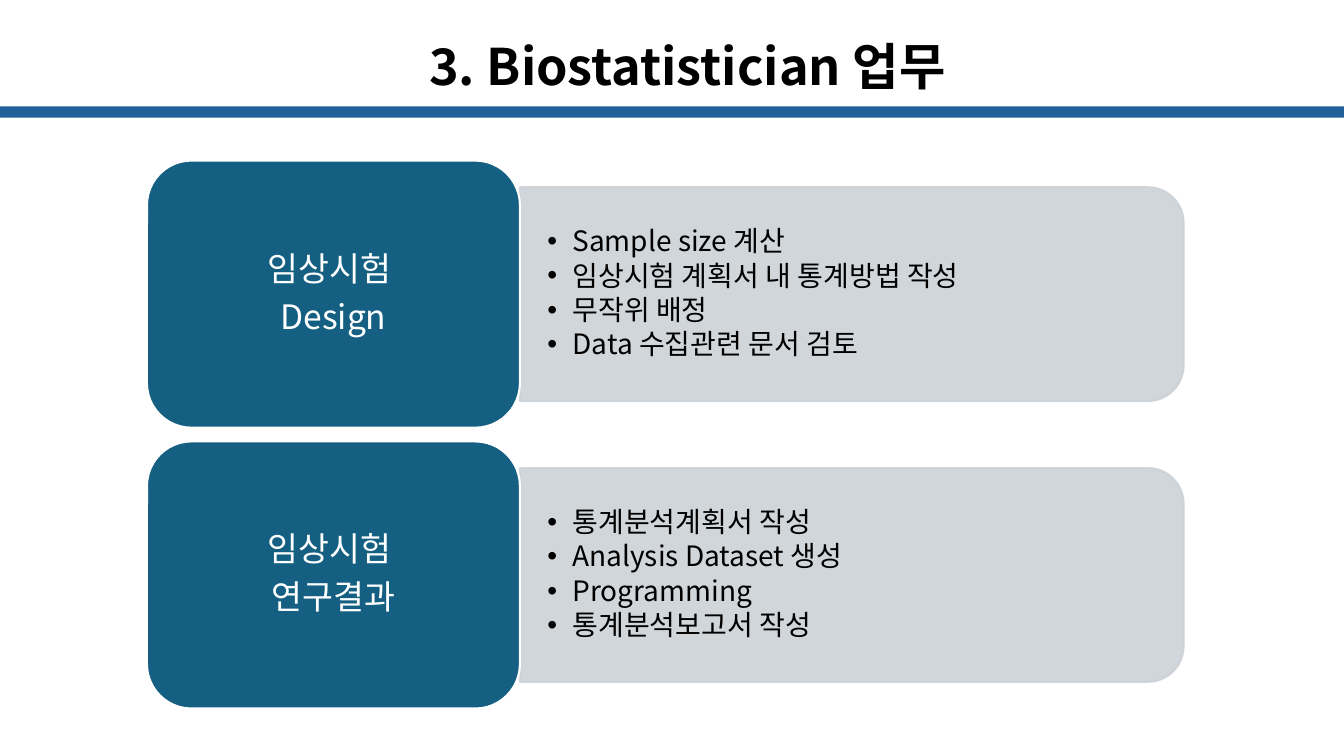
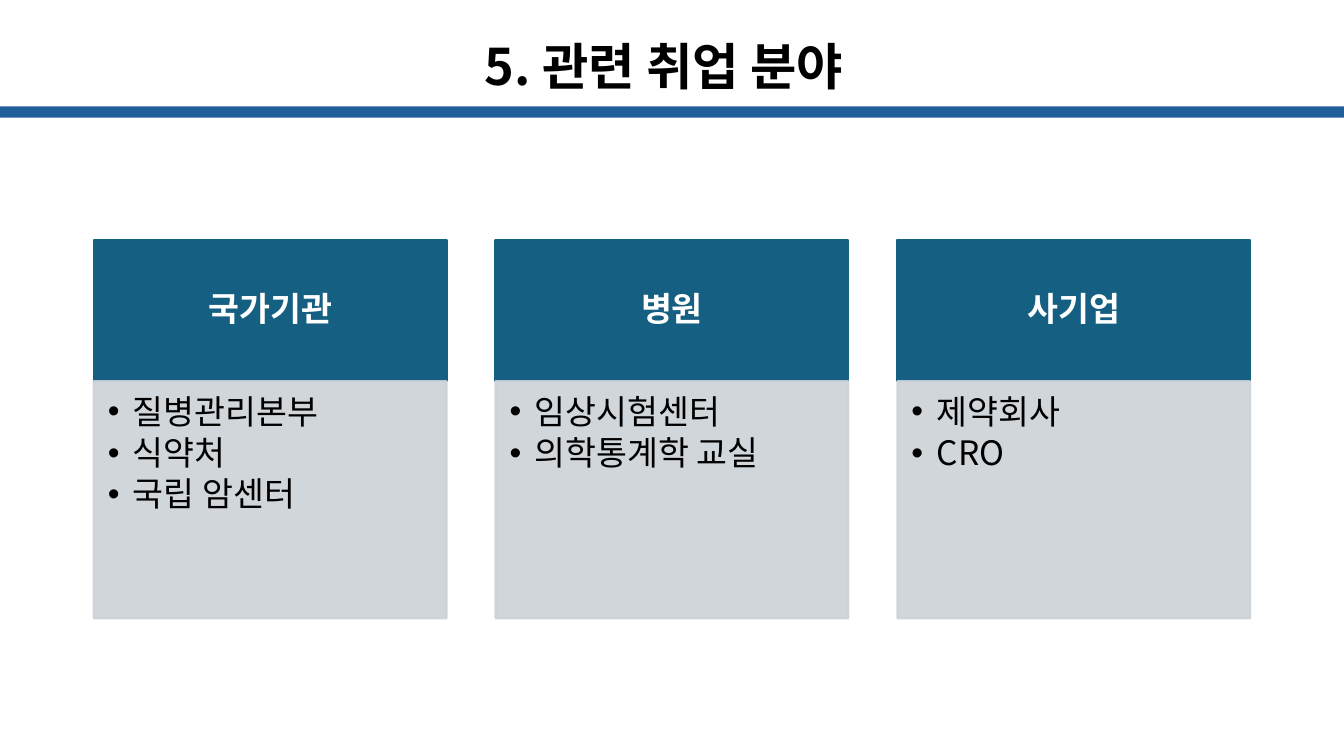
from pptx import Presentation
from pptx.dml.color import RGBColor
from pptx.enum.shapes import MSO_SHAPE as Shape
from pptx.enum.text import MSO_ANCHOR as Anchor, PP_ALIGN as Align
from pptx.oxml.ns import qn
from pptx.util import Pt
from lxml.etree import SubElement

FONT = "Noto Sans CJK KR"
WIDE, HIGH = 960, 540
HEX = {"band": "215F9A", "head": "156082", "pale": "CCD2D8",
       "dark": "000000", "white": "FFFFFF"}

TASKS = [
    (["임상시험 ", "Design"],
     ["Sample size 계산", "임상시험 계획서 내 통계방법 작성", "무작위 배정",
      "Data 수집관련 문서 검토"]),
    (["임상시험 ", "연구결과"],
     ["통계분석계획서 작성", "Analysis Dataset 생성", "Programming",
      "통계분석보고서 작성"]),
]
FIELDS = [
    ("국가기관", ["질병관리본부", "식약처", "국립 암센터"]),
    ("병원", ["임상시험센터", "의학통계학 교실"]),
    ("사기업", ["제약회사", "CRO"]),
]


def color(name):
    return RGBColor.from_string(HEX[name])


def add_box(slide, kind, box, fill, line=None, alpha=None):
    """Draw a filled shape; alpha is the opacity in percent."""
    shape = slide.shapes.add_shape(kind, *map(Pt, box))
    shape.shadow.inherit = False
    shape.fill.solid()
    shape.fill.fore_color.rgb = color(fill)
    if line:
        shape.line.color.rgb = color(line)
        shape.line.width = Pt(1.5)
    else:
        shape.line.fill.background()
    if alpha:
        for tint in shape.element.spPr.iter(qn("a:srgbClr")):
            SubElement(tint, qn("a:alpha"), val=str(alpha * 1000))
    return shape


def add_bullet(para):
    props = para._p.get_or_add_pPr()
    props.set("marL", str(Pt(18)))
    props.set("indent", str(-Pt(18)))
    SubElement(props, qn("a:buFont"), typeface="Arial")
    SubElement(props, qn("a:buChar"), char="•")


def set_text(shape, lines, size, tone="dark", bold=False, align=Align.LEFT,
             anchor=Anchor.TOP, inset=(7.2, 3.6, 7.2, 3.6), space=0.9,
             after=0, bullet=False):
    """Fill a shape with paragraphs; after is a share of the text size."""
    frame = shape.text_frame
    frame.word_wrap = True
    frame.vertical_anchor = anchor
    (frame.margin_left, frame.margin_top,
     frame.margin_right, frame.margin_bottom) = map(Pt, inset)
    frame.text = "\n".join(lines)
    for para in frame.paragraphs:
        para.alignment = align
        para.line_spacing = space
        para.space_after = Pt(size * after)
        if bullet:
            add_bullet(para)
        for run in para.runs:
            font = run.font
            font.name, font.size, font.bold = FONT, Pt(size), bold
            font.color.rgb = color(tone)
            SubElement(font._element, qn("a:ea"), typeface=FONT)


def set_label(shape, lines, bold=False):
    set_text(shape, lines, 24, "white", bold, Align.CENTER, Anchor.MIDDLE,
             after=0.35)


def set_list(shape, items, size, anchor, inset):
    set_text(shape, items, size, anchor=anchor, inset=inset, after=0.15,
             bullet=True)


def add_page(deck, title, left):
    """Add a blank slide with the shared band and title."""
    slide = deck.slides.add_slide(deck.slide_layouts[6])
    add_box(slide, Shape.RECTANGLE, (0, 76, WIDE, 8), "band")
    head = slide.shapes.add_textbox(Pt(left), 0, Pt(440), Pt(64))
    set_text(head, [title], 36, bold=True, space=1.5)
    return slide


def add_task(slide, box, label, items):
    """Place a label tile and, to its right, a panel with a list."""
    x, y, w, h = box
    tile = 266.4
    wide, high = w - tile, h * 0.8
    left, top = x + tile, y + h * 0.1
    # The panel is turned a quarter, so its sides are swapped about its centre.
    turned = (left + (wide - high) / 2, top + (high - wide) / 2, high, wide)
    panel = add_box(slide, Shape.ROUND_2_SAME_RECTANGLE, turned, "pale",
                    "pale", 90)
    panel.rotation = 90
    text = slide.shapes.add_textbox(*map(Pt, (left, top, wide - 7, high)))
    set_list(text, items, 20, Anchor.MIDDLE, (19.5, 10, 19.5, 10))
    name = add_box(slide, Shape.ROUNDED_RECTANGLE, (x, y, tile, h), "head",
                   "white")
    set_label(name, label)


def add_field(slide, box, label, items):
    """Place a heading over a panel with a list."""
    x, y, w, h = box
    top = 101
    head = add_box(slide, Shape.RECTANGLE, (x, y, w, top), "head", "head")
    set_label(head, [label], True)
    panel = add_box(slide, Shape.RECTANGLE, (x, y + top, w, h - top), "pale",
                    "pale", 90)
    set_list(panel, items, 24, Anchor.TOP, (10, 10, 13.5, 15))


def main():
    deck = Presentation()
    deck.slide_width, deck.slide_height = Pt(WIDE), Pt(HIGH)

    slide = add_page(deck, "3. Biostatistician 업무", 299.5)
    for row, (label, items) in enumerate(TASKS):
        add_task(slide, (105, 114.7 + row * 200.6, 740.4, 190.8), label, items)

    slide = add_page(deck, "5. 관련 취업 분야", 339)
    for col, (label, items) in enumerate(FIELDS):
        add_field(slide, (67 + col * 287, 171.3, 252, 270.3), label, items)

    deck.save("out.pptx")


if __name__ == "__main__":
    main()
